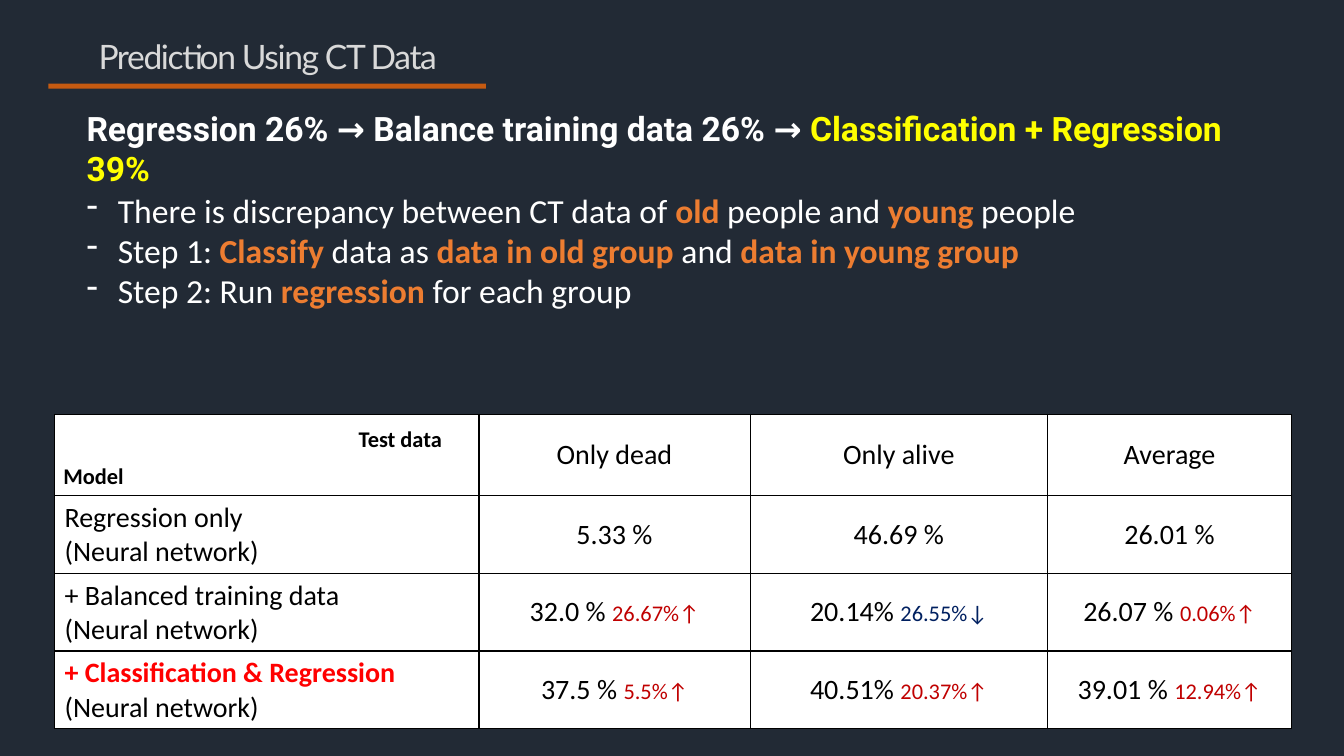
from pptx import Presentation
from pptx.dml.color import RGBColor as Rgb
from pptx.enum.shapes import MSO_SHAPE as Shape
from pptx.enum.text import MSO_ANCHOR as Anchor, PP_ALIGN as Align
from pptx.oxml import parse_xml
from pptx.oxml.ns import nsdecls
from pptx.util import Inches, Pt

COLORS = {
    "night": "222A35", "mist": "D9D9D9", "rust": "C55A11", "orange": "ED7D31",
    "white": "FFFFFF", "yellow": "FFFF00", "black": "000000",
    "red": "FF0000", "up": "C00000", "down": "002060",
}


def write(paragraph, text, size=24, font="Calibri", color="white", bold=False):
    run = paragraph.add_run()
    run.text = text
    run.font.size = Pt(size)
    run.font.name = font
    run.font.bold = bold
    run.font.color.rgb = Rgb.from_string(COLORS[color])
    return run


def text_area(left, top, width, height, wrap=True):
    frame = slide.shapes.add_textbox(
        Inches(left), Inches(top), Inches(width), Inches(height)).text_frame
    frame.word_wrap = wrap
    return frame


deck = Presentation()
deck.slide_width, deck.slide_height = Inches(13.33), Inches(7.5)
slide = deck.slides.add_slide(deck.slide_layouts[5])
slide.background.fill.solid()
slide.background.fill.fore_color.rgb = Rgb.from_string(COLORS["night"])

heading = slide.shapes.title
heading.left, heading.top = Inches(-0.3), Inches(0.31)
heading.width, heading.height = Inches(5.91), Inches(0.54)
heading.text_frame.vertical_anchor = Anchor.MIDDLE
heading_line = heading.text_frame.paragraphs[0]
heading_line.alignment = Align.CENTER
heading_line.line_spacing = 0.9
heading_run = write(heading_line, "Prediction Using CT Data", font="Lato", color="mist")
heading_run.font._element.set("spc", "-100")

underline = slide.shapes.add_shape(
    Shape.RECTANGLE, Inches(0.48), Inches(0.83), Inches(4.34), Inches(0.05))
underline.shadow.inherit = False
underline.fill.solid()
underline.fill.fore_color.rgb = Rgb.from_string(COLORS["rust"])
underline.line.fill.background()

summary = text_area(0.76, 1.11, 11.81, 0.72)
summary.vertical_anchor = Anchor.MIDDLE
progress = summary.paragraphs[0]
write(progress, "Regression 26% → Balance training data 26% → ", font="Roboto", bold=True)
write(progress, "Classification + Regression 39%", font="Roboto", color="yellow", bold=True)

steps = [
    ["There is discrepancy between CT data of ", "old", " people and ", "young", " people "],
    ["Step 1: ", "Classify", " data as ", "data in old group", " and ", "data in young group"],
    ["Step 2: Run ", "regression", " for each group"],
]
approach = text_area(0.76, 1.83, 11.81, 1.31)
for number, pieces in enumerate(steps):
    step = approach.add_paragraph() if number else approach.paragraphs[0]
    indents = step._p.get_or_add_pPr()
    indents.set("marL", str(Inches(0.31)))
    indents.set("indent", str(Inches(-0.31)))
    indents.append(parse_xml(f'<a:buChar {nsdecls("a")} char="-"/>'))
    for place, piece in enumerate(pieces):
        key = place % 2 == 1
        write(step, piece, color="orange" if key else "white", bold=key)

network = ("(Neural network)", "black")
results = [
    [[], [("Only dead", "black")], [("Only alive", "black")], [("Average", "black")]],
    [[("Regression only", "black"), network],
     [("5.33 %", "black")], [("46.69 %", "black")], [("26.01 %", "black")]],
    [[("+ Balanced training data", "black"), network],
     [("32.0 % ", "black"), ("26.67%↑", "up")],
     [("20.14% ", "black"), ("26.55%↓", "down")],
     [("26.07 % ", "black"), ("0.06%↑", "up")]],
    [[("+ Classification & Regression", "red"), network],
     [("37.5 % ", "black"), ("5.5%↑", "up")],
     [("40.51% ", "black"), ("20.37%↑", "up")],
     [("39.01 % ", "black"), ("12.94%↑", "up")]],
]
column_widths = [4.21, 2.69, 2.95, 2.42]
row_heights = [0.81, 0.77, 0.77, 0.77]
accuracy = slide.shapes.add_table(
    len(row_heights), len(column_widths), Inches(0.54), Inches(4.11),
    Inches(sum(column_widths)), Inches(sum(row_heights))).table
for column, width in zip(accuracy.columns, column_widths):
    column.width = Inches(width)
for row, height in zip(accuracy.rows, row_heights):
    row.height = Inches(height)

for r, entries in enumerate(results):
    for c, pieces in enumerate(entries):
        cell = accuracy.cell(r, c)
        cell.vertical_anchor = Anchor.MIDDLE
        if r == 0 and c > 0:
            cell.margin_left = cell.margin_right = cell.margin_top = cell.margin_bottom = 0
        for side in "LRTB":
            cell._tc.get_or_add_tcPr().append(parse_xml(
                f'<a:ln{side} {nsdecls("a")} w="{Pt(1)}"><a:solidFill>'
                f'<a:srgbClr val="{COLORS["black"]}"/></a:solidFill></a:ln{side}>'))
        cell.fill.solid()
        cell.fill.fore_color.rgb = Rgb.from_string(COLORS["white"])
        line = cell.text_frame.paragraphs[0]
        line.alignment = Align.CENTER if c else Align.LEFT
        for place, (text, color) in enumerate(pieces):
            if c == 0 and place:
                line = cell.text_frame.add_paragraph()
            write(line, text, size=16 if color in ("up", "down") else 20,
                  color=color, bold=color == "red")

for axis, left, top, width in [("Test data", 3.46, 4.17, 1.36), ("Model", 0.53, 4.54, 0.99)]:
    label = text_area(left, top, width, 0.37)
    write(label.paragraphs[0], axis, size=16, color="black", bold=True)

deck.save("out.pptx")
